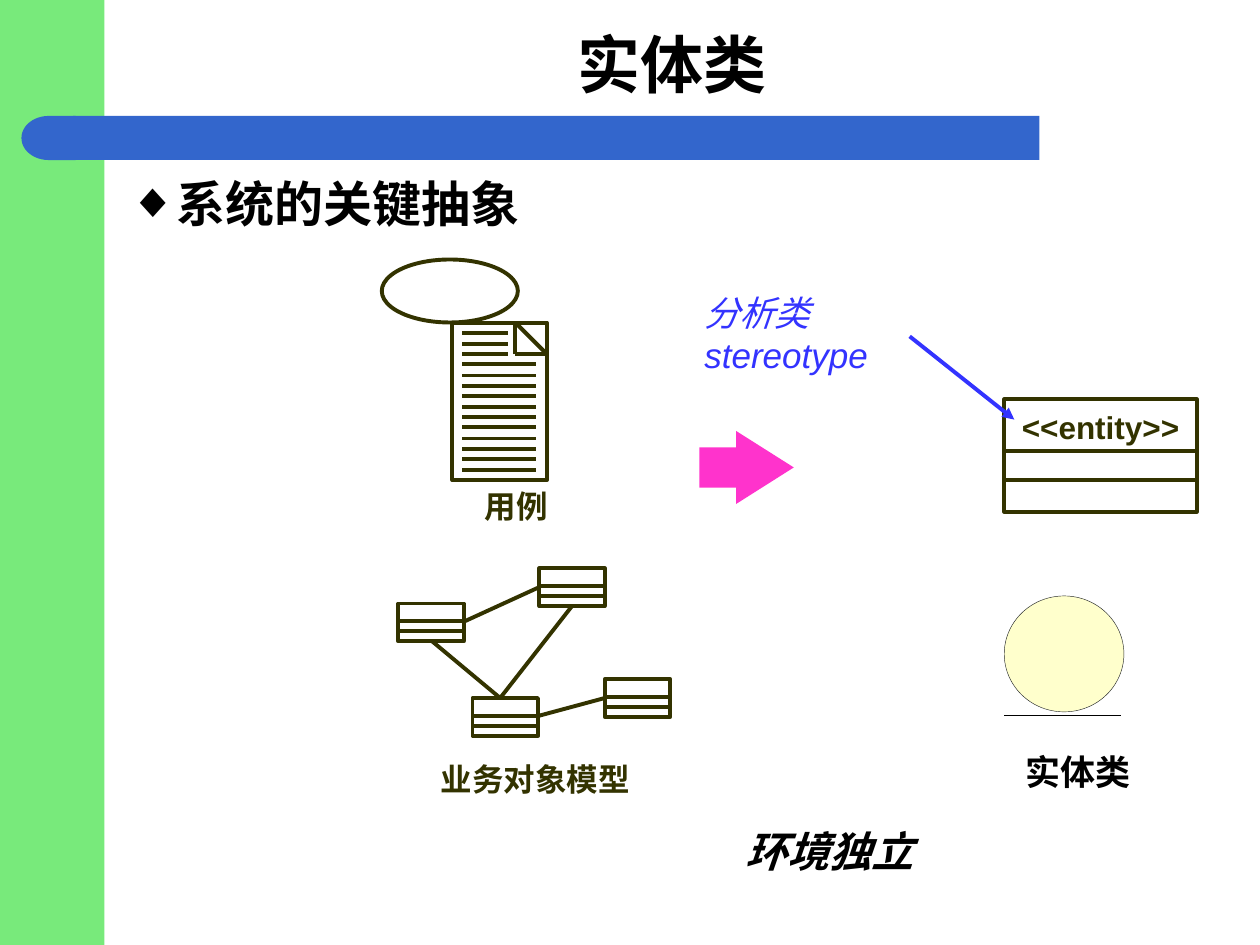
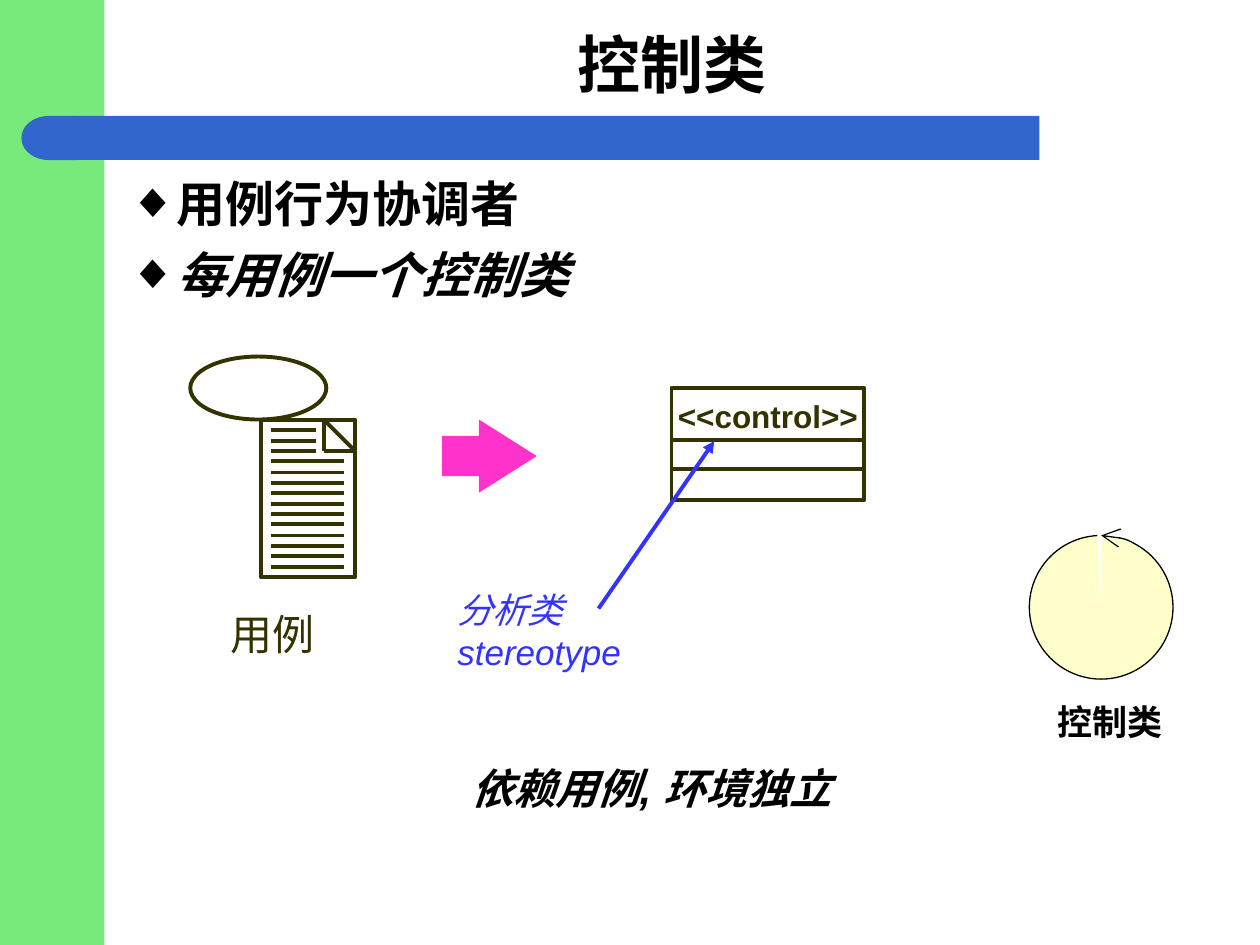
from lxml.etree import SubElement as Sub
from pptx import Presentation
from pptx.dml.color import RGBColor as Rgb
from pptx.enum.shapes import MSO_CONNECTOR as Link, MSO_SHAPE as Kind
from pptx.enum.text import MSO_ANCHOR as Anchor, PP_ALIGN as Align
from pptx.oxml.ns import qn
from pptx.util import Pt

SCALE = 9144
HUES = {"black": "000000", "olive": "333300", "blue": "3333FF", "pink": "FF33CC",
        "cream": "FFFFCC", "green": "78EA7B", "band": "3366CC", "gray": "242728"}
SANS, SERIF, HAN = "Arial", "Times New Roman", "Noto Sans CJK SC"
THIN = 0.25


def px(num):
    return round(num * SCALE)


class Deck:
    def __init__(self):
        self.prs = Presentation()
        self.prs.slide_width, self.prs.slide_height = px(1000), px(750)
        self.slide = None

    def hue(self, name):
        return Rgb.from_string(HUES[name])

    def page(self, title, points):
        self.slide = self.prs.slides.add_slide(self.prs.slide_layouts[6])
        self.shape(Kind.RECTANGLE, 0, 0, 83, 750, "green")
        self.shape(Kind.RECTANGLE, 58, 92, 767, 35, "band")
        self.shape(Kind.FLOWCHART_DELAY, 17, 92, 43, 35, "band").rotation = 180
        head = self.text(92, 17, 883, 67, [(title, {})], 36, face=SERIF, bold=True)
        head.vertical_anchor = Anchor.MIDDLE
        self.list(points)

    def shape(self, kind, x, y, w, h, fill=None, line=None, width=2.25, adj=()):
        item = self.slide.shapes.add_shape(kind, px(x), px(y), px(w), px(h))
        item.shadow.inherit = False
        if fill:
            item.fill.solid()
            item.fill.fore_color.rgb = self.hue(fill)
        else:
            item.fill.background()
        if line:
            item.line.color.rgb = self.hue(line)
            item.line.width = Pt(width)
        else:
            item.line.fill.background()
        for i, val in enumerate(adj):
            item.adjustments[i] = val
        return item

    def line(self, x1, y1, x2, y2, hue="olive", width=2.25, tip=False):
        item = self.slide.shapes.add_connector(
            Link.STRAIGHT, px(x1), px(y1), px(x2), px(y2))
        item.line.color.rgb = self.hue(hue)
        item.line.width = Pt(width)
        if tip:
            Sub(item.line._get_or_add_ln(), qn("a:tailEnd"), type="triangle")
        Sub(item._element.spPr, qn("a:effectLst"))

    def run(self, para, words, size, hue="black", face=SANS, bold=False, slant=False):
        run = para.add_run()
        run.text = words
        font = run.font
        font.size, font.name = Pt(size), face
        font.bold, font.italic = bold, slant
        font.color.rgb = self.hue(hue)
        Sub(run._r.get_or_add_rPr(), qn("a:ea"), typeface=HAN)

    def frame(self, x, y, w, h, pad=(10, 5), wrap=True):
        frame = self.slide.shapes.add_textbox(px(x), px(y), px(w), px(h)).text_frame
        frame.word_wrap = wrap
        frame.margin_left = frame.margin_right = px(pad[0])
        frame.margin_top = frame.margin_bottom = px(pad[1])
        return frame

    def text(self, x, y, w, h, runs, size, align=Align.CENTER, pad=(10, 5),
             wrap=True, **style):
        frame = self.frame(x, y, w, h, pad, wrap)
        para = frame.paragraphs[0]
        para.alignment = align
        for words, more in runs:
            self.run(para, words, size, **{**style, **more})
        return frame

    def list(self, points):
        frame = self.frame(92, 133, 892, 567)
        for i, (words, slant) in enumerate(points):
            para = frame.add_paragraph() if i else frame.paragraphs[0]
            props = para._p.get_or_add_pPr()
            props.set("marL", str(px(38)))
            props.set("indent", str(px(-38)))
            Sub(Sub(props, qn("a:buClr")), qn("a:srgbClr"), val=HUES["black"])
            Sub(props, qn("a:buFont"), typeface=SERIF)
            Sub(props, qn("a:buChar"), char="◆")
            if i:
                para.space_before = Pt(7)
            self.run(para, words, 28, face=SERIF, bold=True, slant=slant)

    def card(self, x, y, w, h, rows):
        self.shape(Kind.RECTANGLE, x, y, w, h, line="olive")
        for row in rows:
            self.line(x, y + row, x + w, y + row)

    def entry(self, x, y, words):
        self.card(x, y, 153, 89, (41, 64))
        self.text(x, y + 7, 153, 30, [(words, {})], 18, pad=(0, 0), wrap=False,
                  hue="olive", bold=True)

    def case(self, x, y):
        self.shape(Kind.OVAL, x, y, 108, 50, line="olive")
        left, top = x + 56, y + 50
        self.shape(Kind.RECTANGLE, left, top, 75, 125, line="olive")
        fold = [(left + 50, top), (left + 75, top + 25), (left + 50, top + 25)]
        for start, end in zip(fold, fold[1:] + fold[:1]):
            self.line(*start, *end)
        for i in range(1, 15):
            row = top + round(i * 125 / 15)
            self.line(left + 8, row, left + (44 if i < 4 else 66), row)

    def arrow(self, x, y):
        self.shape(Kind.RIGHT_ARROW, x, y, 75, 58, "pink", adj=(0.55, 0.79))

    def note(self, x, y, runs):
        self.text(x, y, 233, 79, runs, 20, Align.LEFT, (12, 6), hue="blue", slant=True)

    def name(self, x, y, words):
        self.text(x, y, 85, 33, [(words, {})], 20, Align.LEFT, (0, 0), wrap=False,
                  face=HAN, bold=True)

    def moral(self, x, y, w, words):
        self.text(x, y, w, 50, [(words, {})], 24, bold=True, slant=True)

    def ring(self, x, y, size):
        cut = (162, 160.2)
        self.shape(Kind.PIE, x, y, size, size, "cream", adj=cut)
        arc = self.shape(Kind.ARC, x, y, size, size, None, "black", 0.75, cut)
        Sub(arc.line._get_or_add_ln(), qn("a:headEnd"), type="arrow", w="lg", len="lg")


def entity(deck):
    deck.page("实体类", [("系统的关键抽象", False)])
    deck.arrow(555, 342)
    for x, y in ((316, 479), (428, 451), (375, 554), (480, 539)):
        deck.card(x, y, 52, 30, (14, 22))
    for ends in ((397, 554, 343, 509), (369, 493, 428, 466),
                 (428, 568, 480, 554), (397, 554, 454, 481)):
        deck.line(*ends)
    deck.text(340, 598, 170, 40, [("业务对象模型", {})], 18, wrap=False,
              hue="olive", bold=True)
    deck.moral(375, 650, 567, "环境独立")
    deck.entry(797, 317, "<<entity>>")
    deck.note(547, 225, [("分析类 stereotype", {})])
    deck.line(722, 267, 805, 333, "blue", tip=True)
    deck.case(303, 206)
    deck.text(272, 382, 275, 40, [("用例", {})], 18, hue="olive", bold=True)
    deck.shape(Kind.OVAL, 797, 473, 95, 92, "cream", "gray", THIN)
    deck.line(797, 568, 890, 568, "black", THIN)
    deck.name(814, 596, "实体类")


def control(deck):
    deck.page("控制类", [("用例行为协调者", False), ("每用例一个控制类", True)])
    deck.arrow(351, 333)
    deck.text(156, 478, 120, 50, [("用例", {})], 24, hue="olive")
    deck.case(151, 283)
    deck.moral(142, 600, 750, "依赖用例, 环境独立")
    deck.entry(533, 308, "<<control>>")
    deck.note(351, 461, [("分析类", {"face": SERIF}), ("stereotype", {})])
    deck.line(475, 483, 567, 350, "blue", tip=True)
    deck.name(839, 556, "控制类")
    deck.ring(817, 425, 114)


def main():
    deck = Deck()
    entity(deck)
    control(deck)
    deck.prs.save("out.pptx")


if __name__ == "__main__":
    main()
